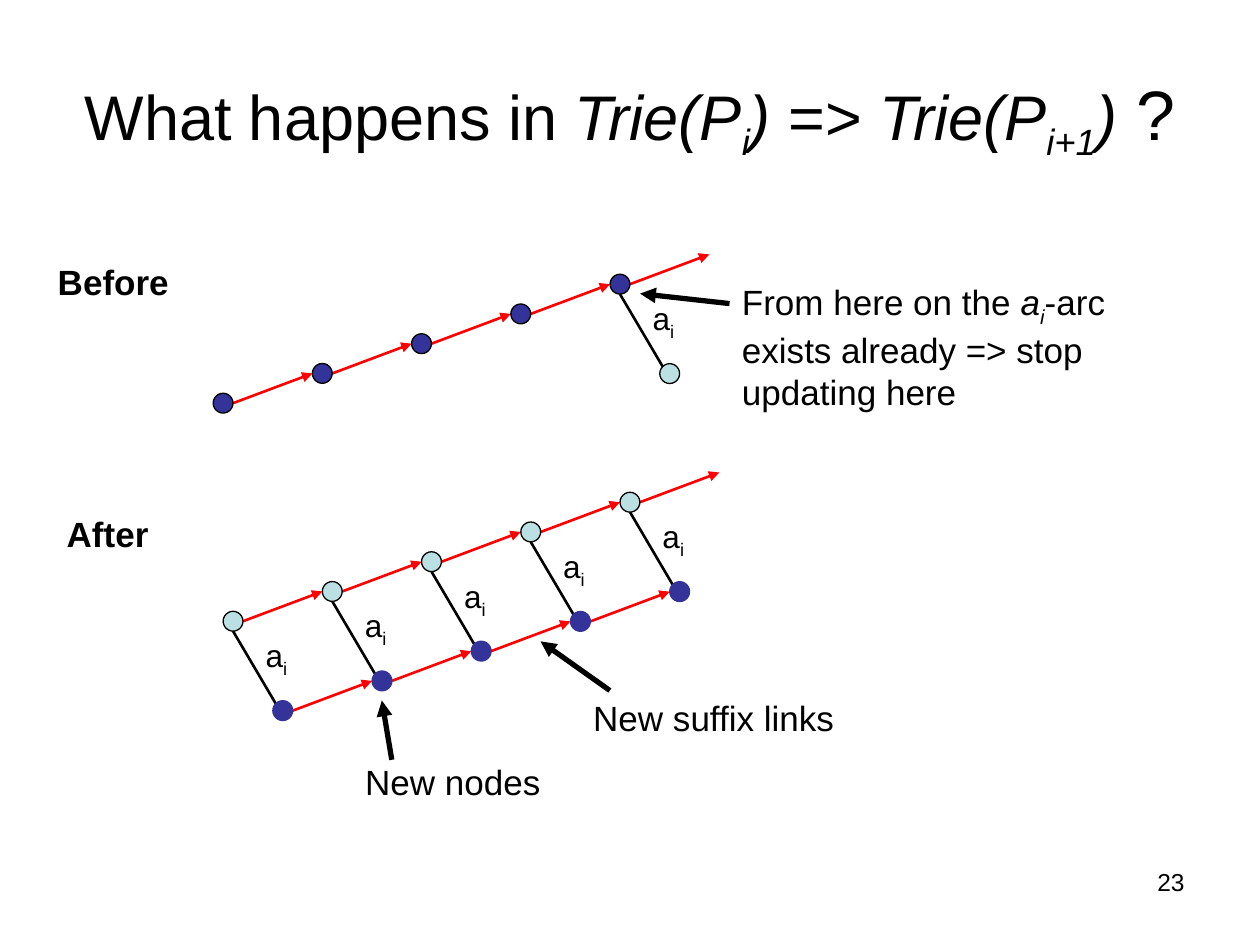
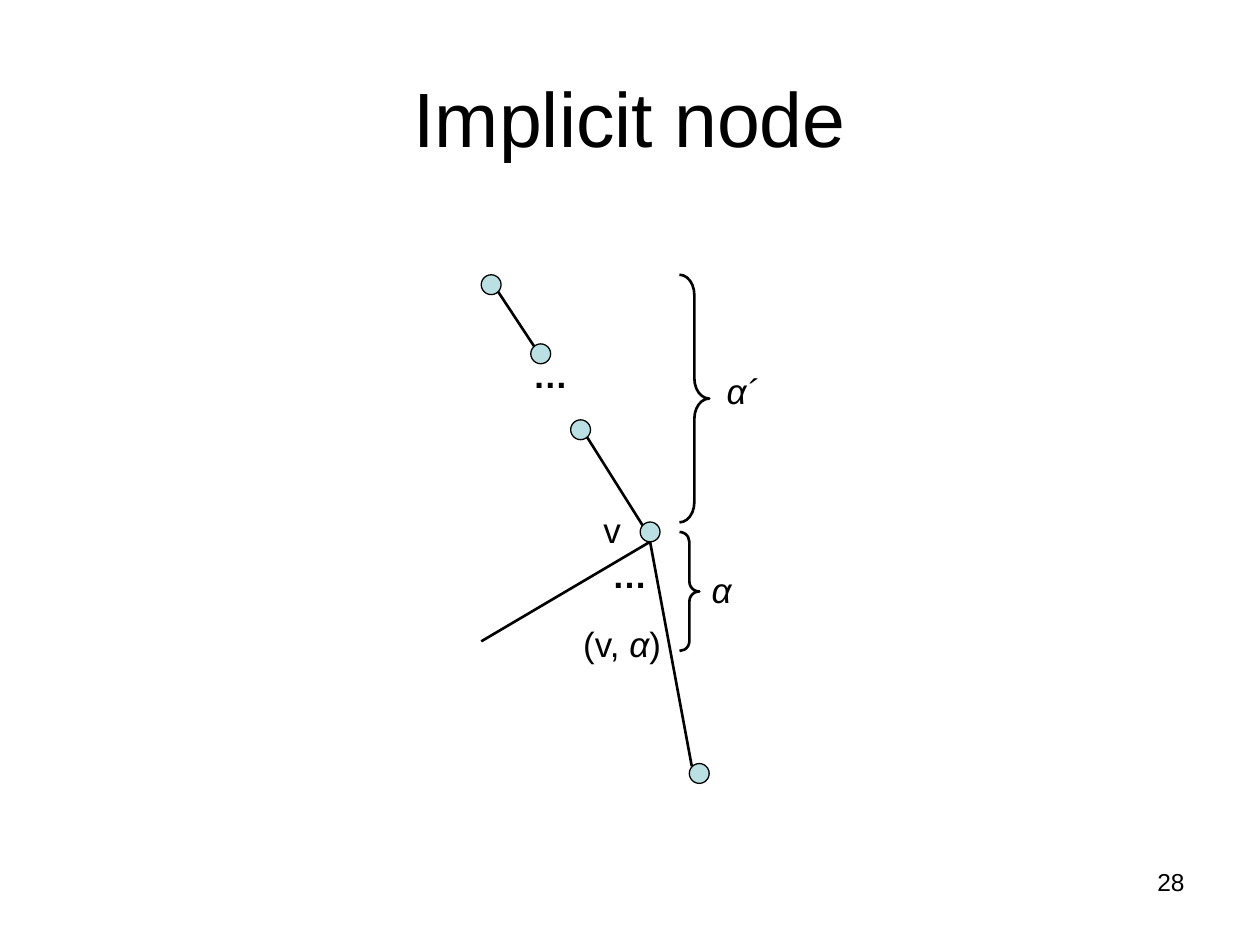
from lxml import etree
from pptx import Presentation
from pptx.dml.color import RGBColor
from pptx.enum.shapes import MSO_CONNECTOR, MSO_SHAPE
from pptx.enum.text import MSO_ANCHOR, MSO_AUTO_SIZE, PP_ALIGN
from pptx.oxml.ns import qn
from pptx.util import Pt

BLACK = RGBColor(0x00, 0x00, 0x00)
RED = RGBColor(0xFF, 0x00, 0x00)
INDIGO = RGBColor(0x33, 0x33, 0x99)
PALE_TEAL = RGBColor(0xBB, 0xE0, 0xE3)
FONT = "Arial"
STRAIGHT = MSO_CONNECTOR.STRAIGHT
OVAL = MSO_SHAPE.OVAL
RIGHT_BRACE = MSO_SHAPE.RIGHT_BRACE
MIDDLE = MSO_ANCHOR.MIDDLE
NO_FIT = MSO_AUTO_SIZE.NONE
GROW = MSO_AUTO_SIZE.SHAPE_TO_FIT_TEXT
LEFT, CENTER, RIGHT = PP_ALIGN.LEFT, PP_ALIGN.CENTER, PP_ALIGN.RIGHT

RADIUS = 5.67
STEP_X, STEP_Y = 56.7, -17
ARC_X, ARC_Y = 28.4, 51.1
CHAIN_LENGTH = 5


def write(frame, runs, size, align=LEFT, bold=False, space=0):
    paragraph = frame.paragraphs[0]
    paragraph.alignment = align
    paragraph.space_before = Pt(space)
    paragraph.font.name = FONT
    paragraph.font.size = Pt(size)
    paragraph.font.bold = bold
    paragraph.font.color.rgb = BLACK
    for words, style in runs:
        run = paragraph.add_run()
        run.text = words
        if "italic" in style:
            run.font.italic = True
        if "sub" in style:
            run._r.get_or_add_rPr().set("baseline", "-25000")


def draw_line(slide, start, end, color=BLACK, width=1.5, arrow=False):
    line = slide.shapes.add_connector(STRAIGHT, *[Pt(v) for v in start + end])
    line.line.color.rgb = color
    line.line.width = Pt(width)
    properties = line._element.spPr
    if arrow:
        etree.SubElement(properties.find(qn("a:ln")), qn("a:tailEnd"), type="triangle")
    etree.SubElement(properties, qn("a:effectLst"))


prs = Presentation()
prs.slide_width, prs.slide_height = Pt(720), Pt(540)

slides = []
for number, title_size, title_runs in [
    ("23", 36, [
        ("What happens in ", ""), ("Trie(P", "italic"), ("i", "italic sub"),
        (")", "italic"), (" => ", ""), ("Trie(P", "italic"),
        ("i+1", "italic sub"), (")", "italic"), (" ?", ""),
    ]),
    ("28", 44, [("Implicit node", "")]),
]:
    slide = prs.slides.add_slide(prs.slide_layouts[5])
    slides.append(slide)
    title = slide.shapes.title
    title.left, title.top, title.width, title.height = Pt(36), Pt(21.6), Pt(648), Pt(90)
    title.text_frame.auto_size = NO_FIT
    title.text_frame.vertical_anchor = MIDDLE
    write(title.text_frame, title_runs, title_size, CENTER)
    page = slide.shapes.add_textbox(Pt(516), Pt(492), Pt(168), Pt(37.4))
    page.text_frame.word_wrap = True
    write(page.text_frame, [(number, "")], 14, RIGHT)

trie, implicit = slides
trie.shapes.title.text_frame.paragraphs[0].runs[-1].font.size = Pt(40)

nodes = []
arc_labels = []
for start_x, start_y, fill, arcs_from in [(127.5, 230.4, INDIGO, 4), (133.2, 355, PALE_TEAL, 0)]:
    after = arcs_from == 0
    child_fill, child_outline = (INDIGO, INDIGO) if after else (PALE_TEAL, BLACK)
    for i in range(CHAIN_LENGTH):
        x, y = start_x + i * STEP_X, start_y + i * STEP_Y
        nodes.append((trie, x, y, fill, BLACK))
        links = [(x, y)]
        if i >= arcs_from:
            child_x, child_y = x + ARC_X, y + ARC_Y
            nodes.append((trie, child_x, child_y, child_fill, child_outline))
            draw_line(trie, (x, y + RADIUS), (child_x - 4, child_y - 4))
            arc_labels.append((x + 11.5, y + 5))
            if i < CHAIN_LENGTH - 1:
                links.append((child_x, child_y))
        for link_x, link_y in links:
            draw_line(trie, (link_x + RADIUS, link_y),
                      (link_x + STEP_X - RADIUS, link_y + STEP_Y), RED, arrow=True)

for start, end in [
    ((223.9, 434.2), (218.2, 400.3)),
    ((348.5, 394.6), (308.9, 366.5)),
    ((416.9, 173.5), (365.8, 167.8)),
]:
    draw_line(trie, start, end, width=3, arrow=True)

for start, end in [
    ((371.5, 309.6), (395.3, 437.8)),
    ((284.4, 166.3), (305.3, 198)),
    ((335.5, 249.8), (367.2, 300.2)),
    ((371.5, 309.6), (275, 366.5)),
]:
    draw_line(implicit, start, end)

for x, y in [(280.7, 162.7), (309, 202.2), (331.8, 245.6), (371.5, 304), (399.6, 442)]:
    nodes.append((implicit, x, y, PALE_TEAL, BLACK))

for slide, x, y, fill, outline in nodes:
    node = slide.shapes.add_shape(
        OVAL, Pt(x - RADIUS), Pt(y - RADIUS), Pt(2 * RADIUS), Pt(2 * RADIUS))
    node.shadow.inherit = False
    node.fill.solid()
    node.fill.fore_color.rgb = fill
    node.line.color.rgb = outline
    node.line.width = Pt(0.75)

for top, width, height, curl in [(157, 17, 141.5, 0.68), (304, 11.3, 68, 0.5)]:
    brace = implicit.shapes.add_shape(RIGHT_BRACE, Pt(388.3), Pt(top), Pt(width), Pt(height))
    brace.shadow.inherit = False
    brace.adjustments[0] = curl
    brace.fill.background()
    brace.line.color.rgb = BLACK
    brace.line.width = Pt(1.5)

labels = [
    (trie, 25.9, 145.4, 107, 31.7, [("Before", "")], 20, True),
    (trie, 31, 289.4, 107, 31.7, [("After", "")], 20, True),
    (trie, 201.6, 431.3, 153.4, 31.7, [("New nodes", "")], 20, False),
    (trie, 331.9, 394.6, 153.4, 31.7, [("New suffix links", "")], 20, False),
    (trie, 416.9, 157, 260.6, 82.8, [
        ("From here on the ", ""), ("a", "italic"), ("i", "italic sub"),
        ("-arc exists already => stop updating here", ""),
    ], 20, False),
    (implicit, 297.4, 198.7, 45.4, 31.7, [("…", "")], 20, True),
    (implicit, 342.7, 312.5, 45.4, 31.7, [("…", "")], 20, True),
    (implicit, 337.7, 287.3, 22.4, 31.7, [("v", "")], 20, False),
    (implicit, 326.2, 352.1, 67.7, 31.7, [("(v, ", ""), ("α", "italic"), (")", "")], 20, False),
    (implicit, 399.6, 321.1, 51, 31.7, [("α", "italic")], 20, False),
    (implicit, 408.2, 207.4, 77, 31.7, [("α´", "italic")], 20, False),
]
for x, y in arc_labels:
    labels.append((trie, x, y, 45.4, 31.7, [("a", ""), ("i", "sub")], 18, False))

for slide, left, top, width, height, runs, size, bold in labels:
    label = slide.shapes.add_textbox(Pt(left), Pt(top), Pt(width), Pt(height))
    label.text_frame.word_wrap = True
    label.text_frame.auto_size = GROW
    write(label.text_frame, runs, size, bold=bold, space=size * 0.625)

prs.save("out.pptx")
